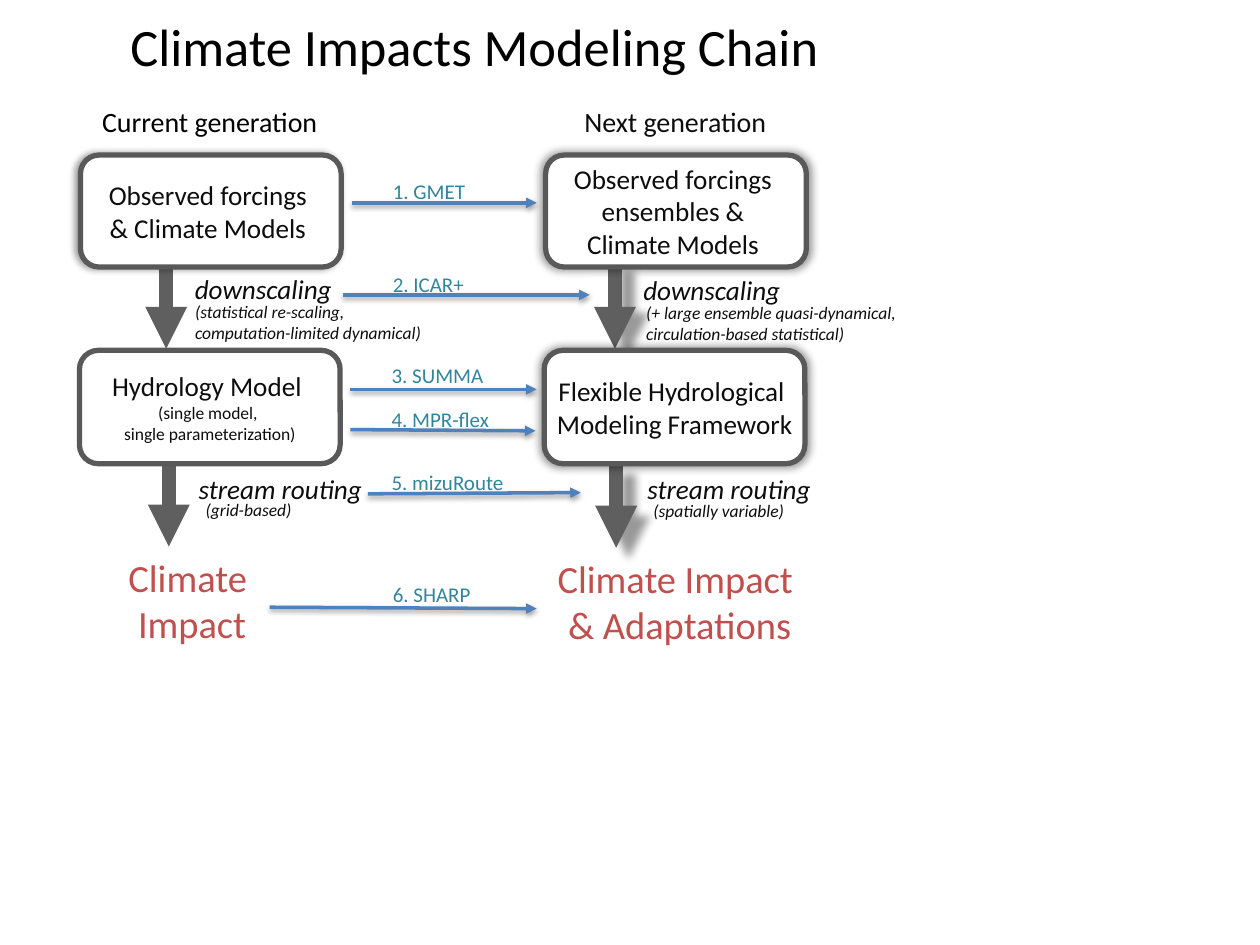
import pptx
import pptx.util
import pptx.dml.color
import pptx.enum.shapes
import pptx.enum.text
import pptx.oxml
import pptx.oxml.ns

Pt = pptx.util.Pt
ALIGN = pptx.enum.text.PP_ALIGN
LEFT, CENTER, RIGHT = ALIGN.LEFT, ALIGN.CENTER, ALIGN.RIGHT
FONT = "Calibri"
COLORS = {
    "black": "000000", "ink": "0D0D0D", "white": "FFFFFF", "border": "595959",
    "flow": "5F5F5F", "link": "4F81BD", "tool": "31859C", "impact": "C0504D",
}
# Shadows: opacity %, blur, distance, direction in degrees, scale %
GLOW = (40, 5, 0, 0, 102)
SIDE = (40, 4, 2, 180, 100)
DROP = (38, 3.1, 1.6, 90, 100)


def color(name):
    return pptx.dml.color.RGBColor.from_string(COLORS[name])


def set_shadow(shape, shadow):
    """Replace the theme shadow with the given one, or with none."""
    effects = pptx.oxml.parse_xml(
        f'<a:effectLst {pptx.oxml.ns.nsdecls("a")}/>')
    if shadow:
        opacity, blur, distance, direction, scale = shadow
        effects.append(pptx.oxml.parse_xml(
            f'<a:outerShdw {pptx.oxml.ns.nsdecls("a")} blurRad="{Pt(blur)}" '
            f'dist="{Pt(distance)}" dir="{direction * 60000}" '
            f'sx="{scale * 1000}" sy="{scale * 1000}" algn="ctr" '
            f'rotWithShape="0"><a:srgbClr val="{COLORS["black"]}">'
            f'<a:alpha val="{opacity * 1000}"/></a:srgbClr></a:outerShdw>'))
    shape._element.spPr.append(effects)


def write(frame, lines, ink, align, italic=False, after=0):
    """Fill a text frame with (text, size) lines, one paragraph each."""
    for index, (text, size) in enumerate(lines):
        para = frame.paragraphs[0] if index == 0 else frame.add_paragraph()
        para.alignment = align
        para.space_after = Pt(after)
        span = para.add_run()
        span.text = text
        values = {"name": FONT, "size": Pt(size), "italic": italic}
        for key, value in values.items():
            setattr(span.font, key, value)
        span.font.color.rgb = color(ink)


def add_label(page, place, text, size, ink, align=LEFT, italic=False, after=6):
    box = page.shapes.add_textbox(*map(Pt, place))
    box.text_frame.word_wrap = True
    box.text_frame.auto_size = pptx.enum.text.MSO_AUTO_SIZE.SHAPE_TO_FIT_TEXT
    write(box.text_frame, [(text, size)], ink, align, italic, after)


def add_stage(page, place, lines, ink="ink", fill=None, border=None, shadow=None):
    """Rounded box with centred lines of text."""
    box = page.shapes.add_shape(
        pptx.enum.shapes.MSO_SHAPE.ROUNDED_RECTANGLE, *map(Pt, place))
    if fill:
        box.fill.solid()
        box.fill.fore_color.rgb = color(fill)
    else:
        box.fill.background()
    if border:
        box.line.width = Pt(3)
        box.line.color.rgb = color(border)
    else:
        box.line.fill.background()
    set_shadow(box, shadow)
    box.text_frame.word_wrap = False
    box.text_frame.vertical_anchor = pptx.enum.text.MSO_ANCHOR.MIDDLE
    write(box.text_frame, lines, ink, CENTER)


def add_arrow(page, start, end, ink, width, shadow=None):
    arrow = page.shapes.add_connector(
        pptx.enum.shapes.MSO_CONNECTOR.STRAIGHT, *map(Pt, start + end))
    arrow.line.width = Pt(width)
    arrow.line.color.rgb = color(ink)
    arrow.line._get_or_add_ln().append(pptx.oxml.parse_xml(
        f'<a:tailEnd {pptx.oxml.ns.nsdecls("a")} type="triangle"/>'))
    set_shadow(arrow, shadow)


def main():
    deck = pptx.Presentation()
    deck.slide_width, deck.slide_height = Pt(720), Pt(540)
    page = deck.slides.add_slide(deck.slide_layouts[6])

    # Title and column headings
    add_label(page, (15, 4.3, 512.5, 44), "Climate Impacts Modeling Chain",
              30, "black", CENTER, after=0)
    add_label(page, (45.4, 56.2, 149, 26.6), "Current generation", 16, "black", CENTER)
    add_label(page, (311, 56.2, 149.8, 26.6), "Next generation", 16, "ink", CENTER)

    # Downward flow in both columns
    for x, top, shadow in [(95, 152, None), (96.5, 265, None),
                           (351.4, 152, GLOW), (352.1, 265.7, GLOW)]:
        add_arrow(page, (x, top), (x, top + 47.3), "flow", 8, shadow)

    # Model stages
    size = 15.5
    stages = [
        (46, 88.6, 64, "white", SIDE,
         [("Observed forcings ", size), ("& Climate Models ", size)]),
        (311.8, 88.6, 64, "white", GLOW,
         [("Observed forcings ", size), ("ensembles & ", size),
          ("Climate Models ", size)]),
        (45.4, 200.2, 64.8, None, None,
         [("Hydrology Model ", size), ("(single model, ", 10),
          ("single parameterization)", 10)]),
        (311, 200.2, 64.8, "white", GLOW,
         [("Flexible Hydrological ", size), ("Modeling Framework", size)]),
    ]
    for left, top, height, fill, shadow, lines in stages:
        add_stage(page, (left, top, 149, height), lines, "ink", fill, "border", shadow)

    # Outcomes
    for left, top, texts in [(13.7, 318.2, ("Climate ", "Impact")),
                             (292.3, 319, ("Climate Impact ", "& Adaptations"))]:
        add_stage(page, (left, top, 192.2, 49), [(text, 22) for text in texts], "impact")

    # Steps between the stages, with their remarks
    steps = [
        ((41.8, 151.9, 154.8, 26.6), "downscaling", size, RIGHT),
        ((298.1, 152.6, 154.8, 26.6), "downscaling", size, RIGHT),
        ((59, 266.2, 154.8, 26.6), "stream routing", size, RIGHT),
        ((315.4, 266.6, 154.8, 26.6), "stream routing", size, RIGHT),
        ((104.4, 168.5, 146.2, 31.7),
         "(statistical re-scaling, computation-limited dynamical)", 10, LEFT),
        ((362.2, 169.2, 160.6, 31.7),
         "(+ large ensemble quasi-dynamical, circulation-based statistical)", 10, LEFT),
        ((63.4, 281.5, 110.2, 19.4), "(grid-based)", 10, RIGHT),
        ((312.5, 282.2, 142.6, 19.4), "(spatially variable)", 10, RIGHT),
    ]
    for place, text, points, align in steps:
        add_label(page, place, text, points, "ink", align, italic=True)

    # Tools that lead from the current to the next generation
    tools = [
        ("1. GMET", 217.4, 98.6, (200.9, 115.9), (306.7, 115.9)),
        ("2. ICAR+", 217.4, 151.9, (195.8, 168.5), (337, 168.5)),
        ("3. SUMMA", 216.7, 203.8, (200.2, 222.5), (306.7, 222.5)),
        ("4. MPR-flex", 216.7, 229, (200.2, 245.5), (306, 246.2)),
        ("5. mizuRoute", 216.7, 265, (210.2, 282.2), (331.9, 281.5)),
        ("6. SHARP", 217.4, 329, (154.1, 347), (306.7, 347.8)),
    ]
    for text, left, top, start, end in tools:
        add_arrow(page, start, end, "link", 2, DROP)
        add_label(page, (left, top, 108, 21.6), text, 12, "tool")

    deck.save("out.pptx")


if __name__ == "__main__":
    main()
